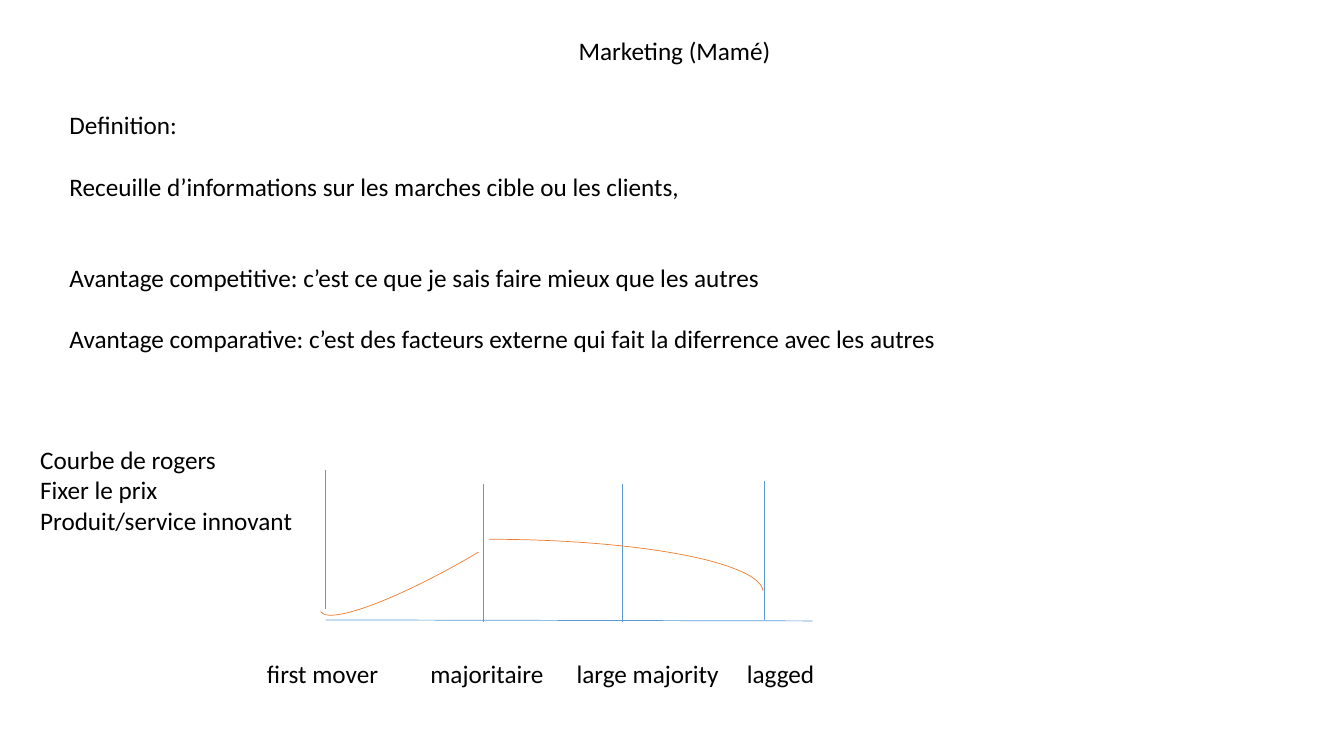
from lxml import etree
from pptx import Presentation
from pptx.dml.color import RGBColor
from pptx.enum.shapes import MSO_CONNECTOR as Connector, MSO_SHAPE as Shape
from pptx.enum.text import MSO_AUTO_SIZE as AutoSize
from pptx.oxml.ns import qn
from pptx.util import Inches, Pt

BLACK = RGBColor(0x00, 0x00, 0x00)
BLUE = RGBColor(0x5B, 0x9B, 0xD5)
ORANGE = RGBColor(0xED, 0x7D, 0x31)
BLANK_LAYOUT = 6
LINE_HEIGHT = 22  # points taken by one line of 18 pt text
LABEL_TABS = (2.25, 3.87, 5.32, 7.01)

DEFINITIONS = (
    ("Definition:", 0),
    ("Receuille d’informations sur les marches cible ou les clients,", 1),
    ("Avantage competitive: c’est ce que je sais faire mieux que les autres", 2),
    ("Avantage comparative: c’est des facteurs externe qui fait la "
     "diferrence avec les autres", 1),
)
ROGERS_CURVE = (
    ("Courbe de rogers", 0),
    ("Fixer le prix", 0),
    ("Produit/service innovant", 0),
    ("\tfirst mover\tmajoritaire\tlarge majority\tlagged", 4),
)
# x, top and bottom of each line between adopter groups
DIVIDERS = ((3.23, 4.66, 6.04), (4.79, 4.8, 6.17),
            (6.17, 4.8, 6.17), (7.58, 4.77, 6.15))


def add_tab_stops(paragraph, positions):
    """Give a paragraph left-aligned tab stops, in inches."""
    properties = paragraph._p.get_or_add_pPr()
    tab_list = etree.SubElement(properties, qn("a:tabLst"))
    for position in positions:
        etree.SubElement(tab_list, qn("a:tab"),
                         pos=str(Inches(position)), algn="l")


def add_text(slide, box, lines, wrap=True):
    """Add a text box of (text, lines of space before) paragraphs."""
    frame = slide.shapes.add_textbox(*map(Inches, box)).text_frame
    frame.word_wrap = wrap
    frame.auto_size = AutoSize.SHAPE_TO_FIT_TEXT
    for index, (text, gap) in enumerate(lines):
        paragraph = frame.add_paragraph() if index else frame.paragraphs[0]
        paragraph.text = text
        paragraph.space_before = Pt(gap * LINE_HEIGHT)
        if "\t" in text:
            add_tab_stops(paragraph, LABEL_TABS)
        font = paragraph.font
        font.name, font.size = "Calibri", Pt(18)
        font.color.rgb = BLACK


def add_line(slide, start, end):
    """Add a thin blue straight line."""
    line = slide.shapes.add_connector(
        Connector.STRAIGHT, *map(Inches, start + end))
    line.line.color.rgb = BLUE
    line.line.width = Pt(0.5)
    etree.SubElement(line._element.spPr, qn("a:effectLst"))


def add_arc(slide, box, start, end, rotation=0):
    """Add a thin orange arc between two angle adjustments."""
    arc = slide.shapes.add_shape(Shape.ARC, *map(Inches, box))
    arc.adjustments[0], arc.adjustments[1] = start, end
    arc.rotation = rotation
    arc.shadow.inherit = False
    arc.fill.background()
    arc.line.color.rgb = ORANGE
    arc.line.width = Pt(0.5)


def main():
    """Build the marketing slide and save it."""
    presentation = Presentation()
    presentation.slide_width = Inches(13.33)
    presentation.slide_height = Inches(7.5)
    slide = presentation.slides.add_slide(
        presentation.slide_layouts[BLANK_LAYOUT])

    add_text(slide, (5.64, 0.3, 2.13, 0.4), [("Marketing (Mamé)", 0)], wrap=False)
    add_text(slide, (0.59, 1.04, 12.48, 2.52), DEFINITIONS)

    for x, top, bottom in DIVIDERS:
        add_line(slide, (x, top), (x, bottom))
    add_line(slide, (8.06, 6.16), (3.23, 6.15))

    add_text(slide, (0.3, 4.36, 9.66, 2.52), ROGERS_CURVE)
    add_arc(slide, (2.95, 4.94, 3.29, 0.58), 161.46, 0, rotation=149.4)
    add_arc(slide, (2.13, 5.35, 5.44, 1.05), 162, 215.82)
    presentation.save("out.pptx")


main()
